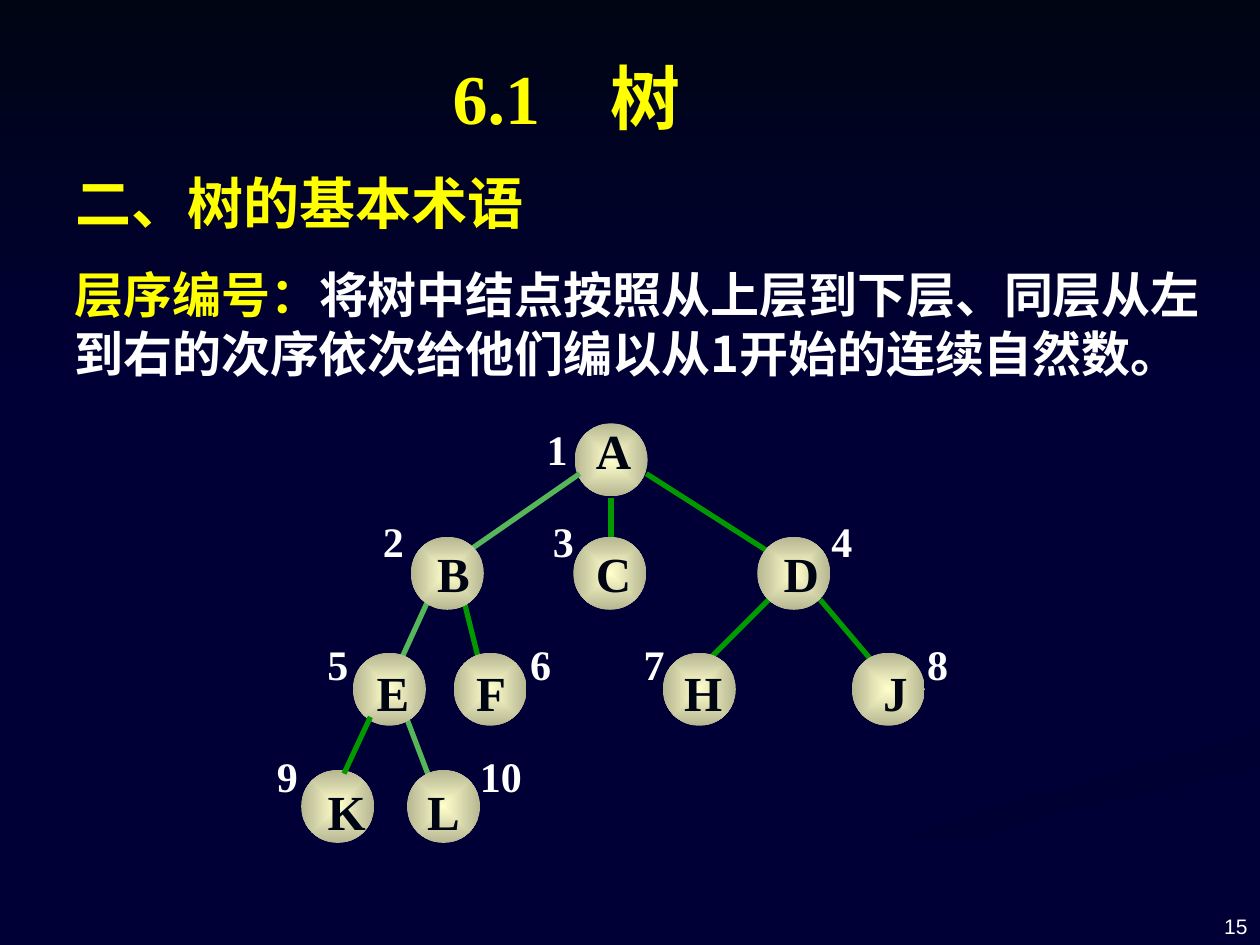
from typing import NamedTuple

from lxml.etree import SubElement
from pptx import Presentation
from pptx.dml.color import RGBColor
from pptx.enum.shapes import MSO_CONNECTOR as Connector, MSO_SHAPE as Shape
from pptx.enum.text import MSO_ANCHOR as Anchor, PP_ALIGN as Align
from pptx.oxml.ns import qn
from pptx.util import Inches, Pt

COLS, ROWS = 100, 75
YELLOW, WHITE, INK = "FFFF00", "FFFFFF", "000514"
NAVY, DEEP_NAVY, GREEN, PALE_GREEN = "000036", "000032", "009900", "55B75A"
SERIF, SANS, CJK = "Times New Roman", "Arial", "Noto Sans CJK SC"
DIAMETER = 5.8


class Level(NamedTuple):
    ball: float
    letter: float
    number: float


class Node(NamedTuple):
    letter: str
    level: int
    col: float
    letter_shift: float
    number_shift: float


class Edge(NamedTuple):
    start: tuple[float, float]
    end: tuple[float, float]
    color: str = GREEN


LEVELS = [Level(33.6, 32.5, 33.1), Level(42.6, 42.2, 40.4),
          Level(51.8, 51.7, 50.2), Level(61.1, 61.1, 59.1)]
NODES = [
    Node("A", 0, 45.6, 0.5, -3.2),
    Node("B", 1, 32.6, 0.9, -3.2),
    Node("C", 1, 45.5, 0.6, -2.6),
    Node("D", 1, 60.1, 0.9, 4.9),
    Node("E", 2, 28, 0.7, -3),
    Node("F", 2, 36, 0.6, 5.1),
    Node("H", 2, 52.6, 0.5, -2.5),
    Node("J", 2, 67.6, 1.3, 5),
    Node("K", 3, 23.9, 0.9, -2.9),
    Node("L", 3, 32.3, 0.4, 4.8),
]
EDGES = [
    Edge((65.1, 47.6), (70.1, 53.5)),
    Edge((61, 47.6), (56, 52.6)),
    Edge((51.3, 37.6), (61.8, 44.3)),
    Edge((46, 37.6), (37.5, 43.5), PALE_GREEN),
    Edge((48.5, 39.5), (48.5, 42.8)),
    Edge((36.8, 47.6), (38.3, 53.6)),
    Edge((32.2, 56.8), (34.1, 61.8), PALE_GREEN),
    Edge((34, 47.6), (31.9, 52.2), PALE_GREEN),
]
TOP_EDGE = Edge((29.4, 56.9), (27.3, 61.4))
SWIRL = [(50, 75), (57, 75), (67, 70), (86, 64), (100, 61), (100, 58), (76, 65), (57, 72)]
SKY = [(0, 0), (0, 30.8), (COLS, 30.8), (COLS, 0)]

prs = Presentation()
prs.slide_width, prs.slide_height = Inches(10), Inches(7.5)
s = prs.slides.add_slide(prs.slide_layouts[6])


def x(cols: float) -> int:
    return round(prs.slide_width * cols / COLS)


def y(rows: float) -> int:
    return round(prs.slide_height * rows / ROWS)


def rgb(color: str) -> RGBColor:
    return RGBColor.from_string(color)


def shade(sp, colors: tuple[str, str], angle: int = 0, radial: bool = False) -> None:
    sp.shadow.inherit = False
    sp.line.fill.background()
    sp.fill.gradient()
    for stop, color in zip(sp.fill.gradient_stops, colors):
        stop.color.rgb = rgb(color)
    sp.fill.gradient_angle = -angle % 360
    if radial:
        grad = sp.element.spPr.find(qn("a:gradFill"))
        grad.remove(grad.find(qn("a:lin")))
        focus = SubElement(grad, qn("a:path"), path="shape")
        SubElement(focus, qn("a:fillToRect"), {side: "50000" for side in "ltrb"})


def text(runs: list[tuple[str, str]], at: tuple[float, float], size: tuple[float, float], *,
         pt: float, font: str = SERIF, bold: bool = True, align: Align = Align.LEFT,
         anchor: Anchor = Anchor.TOP, spacing=None,
         insets: tuple[float, float, float, float] = (1, 0.5, 1, 0.5)) -> None:
    tf = s.shapes.add_textbox(x(at[0]), y(at[1]), x(size[0]), y(size[1])).text_frame
    tf.word_wrap, tf.vertical_anchor = True, anchor
    tf.margin_left, tf.margin_right = x(insets[0]), x(insets[2])
    tf.margin_top, tf.margin_bottom = y(insets[1]), y(insets[3])
    p = tf.paragraphs[0]
    p.alignment, p.line_spacing = align, spacing
    for words, color in runs:
        r = p.add_run()
        r.text = words
        r.font.name, r.font.size, r.font.bold = font, Pt(pt), bold
        r.font.color.rgb = rgb(color)
        SubElement(r.font._element, qn("a:ea"), typeface=CJK)


def draw_area(corners: list[tuple[float, float]], colors: tuple[str, str]) -> None:
    points = [(x(c), y(r)) for c, r in corners]
    builder = s.shapes.build_freeform(*points[0])
    builder.add_line_segments(points[1:], close=True)
    shade(builder.convert_to_shape(), colors, 90)


def draw_edge(edge: Edge) -> None:
    (c1, r1), (c2, r2) = edge.start, edge.end
    line = s.shapes.add_connector(Connector.STRAIGHT, x(c1), y(r1), x(c2), y(r2))
    line.line.color.rgb, line.line.width = rgb(edge.color), Pt(3)
    SubElement(line._element.spPr, qn("a:effectLst"))


def draw_ball(node: Node) -> None:
    ball = s.shapes.add_shape(Shape.OVAL, x(node.col), y(LEVELS[node.level].ball),
                              x(DIAMETER), y(DIAMETER))
    shade(ball, ("FFFFCC", "B6B692"), radial=True)


s.background.fill.solid()
s.background.fill.fore_color.rgb = rgb(NAVY)
draw_area(SWIRL, (DEEP_NAVY, NAVY))
draw_area(SKY, (INK, NAVY))
text([("15", WHITE)], (76.7, 69.8), (23.3, 5.2), pt=12, font=SANS, bold=False,
     align=Align.RIGHT, anchor=Anchor.BOTTOM)

draw_ball(NODES[0])
for edge in EDGES:
    draw_edge(edge)
for node in NODES[1:]:
    draw_ball(node)
for node in NODES:
    text([(node.letter, INK)], (node.col + node.letter_shift, LEVELS[node.level].letter),
         (5, 5.7), pt=28, spacing=0.8, insets=(1.2, 1.8, 0.4, 0.4))
draw_edge(TOP_EDGE)
for number, node in enumerate(NODES, 1):
    text([(str(number), WHITE)], (node.col + node.number_shift, LEVELS[node.level].number),
         (5.6, 5), pt=24)

text([("层序编号：", YELLOW),
      ("将树中结点按照从上层到下层、同层从左到右的次序依次给他们编以从1开始的连续自然数。", WHITE)],
     (5.9, 20.5), (91.1, 10.3), pt=28, font=CJK, spacing=Pt(33.6), insets=(0, 0.5, 0, 0.5))
text([("6.1　树", YELLOW)], (20.8, 3.3), (48.3, 7.7), pt=40, align=Align.CENTER, spacing=Pt(52))
text([("二、树的基本术语", YELLOW)], (5, 12.4), (43.3, 6.3), pt=32, font=SANS, spacing=Pt(41.6))

prs.save("out.pptx")
